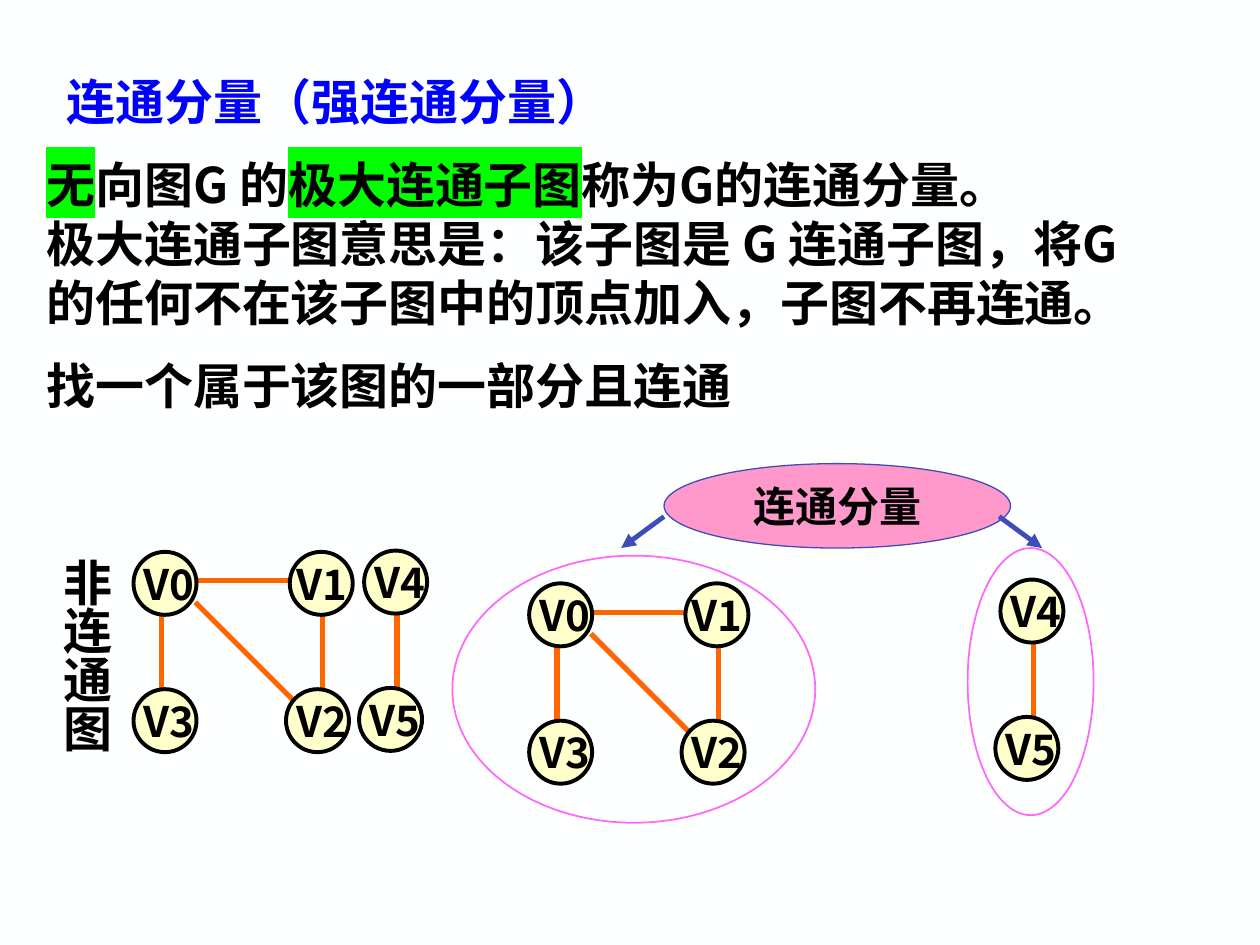
from lxml import etree
from pptx import Presentation
from pptx.dml.color import RGBColor
from pptx.enum.shapes import MSO_CONNECTOR, MSO_SHAPE
from pptx.enum.text import MSO_ANCHOR, MSO_AUTO_SIZE, PP_ALIGN
from pptx.oxml.ns import qn
from pptx.util import Inches, Pt

OVAL = MSO_SHAPE.OVAL
STRAIGHT = MSO_CONNECTOR.STRAIGHT
GROW = MSO_AUTO_SIZE.SHAPE_TO_FIT_TEXT
TOP, MIDDLE = MSO_ANCHOR.TOP, MSO_ANCHOR.MIDDLE
LEFT, CENTER = PP_ALIGN.LEFT, PP_ALIGN.CENTER

CJK_FONT = "Noto Sans CJK SC"
COLORS = {
    "background": "FEFFFF", "title": "0000FF", "text": "000000",
    "highlight": "00FF00", "edge": "FF6600", "node": "FFFFCC",
    "outline": "FF66FF", "callout": "FF99CC", "arrow": "3E4DBA",
}

NODE_SIZE = 0.5
SQUARE_NODES = {
    "V0": (0, 0, -0.05), "V2": (1.21, 1.09, 1.16),
    "V3": (0, 1.09, -0.05), "V1": (1.24, 0, 1.16),
}
SQUARE_EDGES = [
    (0.49, 0.4, 1.31, 1.22), (0.22, 0.5, 0.22, 1.14),
    (0.5, 0.23, 1.28, 0.23), (1.5, 0.5, 1.5, 1.14),
]
PAIR_NODES = {"V5": (-0.04, 1.09, -0.09), "V4": (0, 0, -0.05)}
PAIR_EDGES = [(0.26, 0.46, 0.26, 1.1)]

DEFINITION = [
    [("无", True), ("向图G 的", False), ("极大连通子图", True),
     ("称为G的连通分量。", False), None,
     ("极大连通子图意思是：该子图是 G 连通子图，将G 的任何不在该子图中的顶点加入，"
      "子图不再连通。", False)],
    [("找一个属于该图的一部分且连通", False)],
]


def rgb(name):
    return RGBColor.from_string(COLORS[name])


def add_run(paragraph, text, size=28, color="text", font=CJK_FONT, marked=False):
    run = paragraph.add_run()
    run.text = text
    run.font.color.rgb = rgb(color)
    if marked:
        highlight = etree.SubElement(run.font._element, qn("a:highlight"))
        etree.SubElement(highlight, qn("a:srgbClr"), val=COLORS["highlight"])
    for name, value in {"size": Pt(size), "bold": True, "name": font}.items():
        setattr(run.font, name, value)
    east_asian = etree.Element(qn("a:ea"), typeface=CJK_FONT)
    run.font._element.find(qn("a:latin")).addnext(east_asian)


def add_text_box(shapes, left, top, width, height):
    frame = shapes.add_textbox(*map(Inches, (left, top, width, height))).text_frame
    for name, value in {"word_wrap": True, "auto_size": GROW}.items():
        setattr(frame, name, value)
    return frame


def add_oval(shapes, left, top, width, height, line, line_width, fill=None):
    oval = shapes.add_shape(OVAL, *map(Inches, (left, top, width, height)))
    oval.shadow.inherit = False
    if fill:
        oval.fill.solid()
        oval.fill.fore_color.rgb = rgb(fill)
    else:
        oval.fill.background()
    oval.line.color.rgb = rgb(line)
    oval.line.width = Pt(line_width)
    return oval


def add_line(shapes, ends, color, width, arrow=False):
    connector = shapes.add_connector(STRAIGHT, *map(Inches, ends))
    connector.line.color.rgb = rgb(color)
    connector.line.width = Pt(width)
    if arrow:
        etree.SubElement(connector.line._get_or_add_ln(), qn("a:tailEnd"), type="triangle")
    etree.SubElement(connector._element.spPr, qn("a:effectLst"))


def add_graph(slide, left, top, nodes, edges, outline=None):
    shapes = slide.shapes.add_group_shape().shapes
    if outline:
        add_oval(shapes, *outline, "outline", 1)
    for x1, y1, x2, y2 in edges:
        add_line(shapes, (left + x1, top + y1, left + x2, top + y2), "edge", 3)
    for name, (x, y, label_x) in nodes.items():
        add_oval(shapes, left + x, top + y, NODE_SIZE, NODE_SIZE, "text", 2.25, "node")
        label = add_text_box(shapes, left + label_x, top + y, 0.71, 0.5)
        label.margin_left = Inches(0.13)
        add_run(label.paragraphs[0], name, 24)


def add_title(slide):
    title = slide.shapes.title
    place = {"left": 0.43, "top": 0.52, "width": 6, "height": 0.57}
    for name, value in place.items():
        setattr(title, name, Inches(value))
    frame = title.text_frame
    layout = {"word_wrap": True, "auto_size": GROW, "vertical_anchor": TOP}
    for name, value in layout.items():
        setattr(frame, name, value)
    frame.paragraphs[0].alignment = LEFT
    add_run(frame.paragraphs[0], "连通分量（强连通分量）", 28, "title", "DejaVu Sans")


def add_definition(slide):
    frame = add_text_box(slide.shapes, 0.27, 1.18, 9, 2.22)
    for index, pieces in enumerate(DEFINITION):
        paragraph = frame.add_paragraph() if index else frame.paragraphs[0]
        if index:
            paragraph.space_before = Pt(14)
        for piece in pieces:
            if piece is None:
                paragraph.add_line_break()
            else:
                text, marked = piece
                add_run(paragraph, text, marked=marked)


def add_vertical_caption(slide):
    frame = add_text_box(slide.shapes, 0.3, 4.33, 0.67, 2.08)
    frame._txBody.bodyPr.set("vert", "eaVert")
    add_run(frame.paragraphs[0], "非连通图")


def add_callout(slide):
    shapes = slide.shapes.add_group_shape().shapes
    callout = add_oval(shapes, 5.27, 3.68, 2.75, 0.67, "arrow", 0.75, "callout")
    frame = callout.text_frame
    frame.word_wrap = False
    frame.vertical_anchor = MIDDLE
    frame.paragraphs[0].alignment = CENTER
    add_run(frame.paragraphs[0], "连通分量", 24, font="Times New Roman")
    for start, end in ((5.27, 4.93), (7.93, 8.27)):
        add_line(shapes, (start, 4.1, end, 4.35), "arrow", 2.75, arrow=True)


def main():
    deck = Presentation()
    deck.slide_width, deck.slide_height = Inches(10), Inches(7.5)
    slide = deck.slides.add_slide(deck.slide_layouts[5])
    slide.background.fill.solid()
    slide.background.fill.fore_color.rgb = rgb("background")
    add_title(slide)
    add_vertical_caption(slide)
    add_oval(slide.shapes, 3.59, 4.41, 2.88, 2.12, "outline", 1)
    add_graph(slide, 4.2, 4.63, SQUARE_NODES, SQUARE_EDGES)
    add_graph(slide, 7.94, 4.6, PAIR_NODES, PAIR_EDGES, (7.68, 4.35, 1, 2.12))
    add_definition(slide)
    add_graph(slide, 1.06, 4.38, SQUARE_NODES, SQUARE_EDGES)
    add_graph(slide, 2.89, 4.37, PAIR_NODES, PAIR_EDGES)
    add_callout(slide)
    deck.save("out.pptx")


if __name__ == "__main__":
    main()
